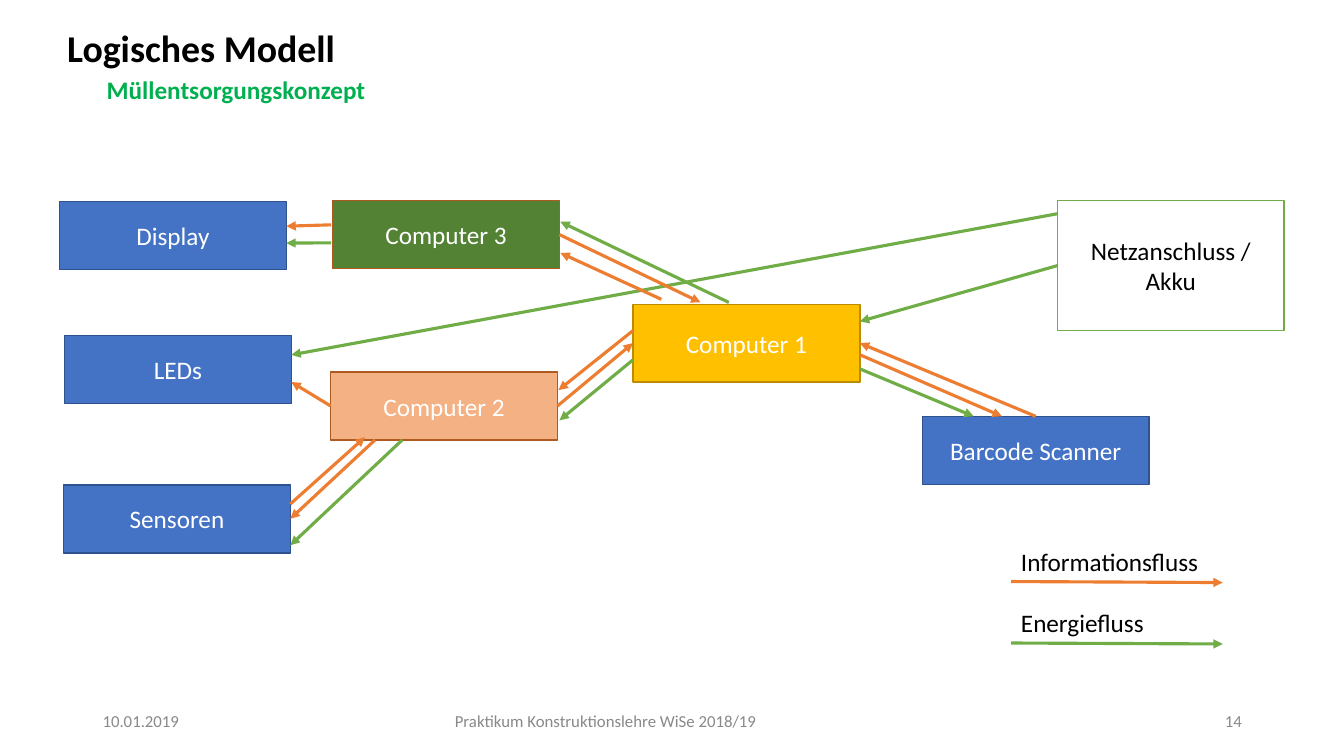
from lxml import etree
from pptx import Presentation
from pptx.dml.color import RGBColor
from pptx.enum.shapes import MSO_CONNECTOR, MSO_SHAPE
from pptx.enum.text import MSO_ANCHOR, PP_ALIGN
from pptx.oxml.ns import qn
from pptx.util import Pt

STRAIGHT = MSO_CONNECTOR.STRAIGHT
RECTANGLE = MSO_SHAPE.RECTANGLE
ANCHOR_TOP, ANCHOR_MIDDLE, ANCHOR_BOTTOM = MSO_ANCHOR.TOP, MSO_ANCHOR.MIDDLE, MSO_ANCHOR.BOTTOM
ALIGN_LEFT, ALIGN_CENTER, ALIGN_RIGHT = PP_ALIGN.LEFT, PP_ALIGN.CENTER, PP_ALIGN.RIGHT
TOP, LEFT, BOTTOM, RIGHT = range(4)  # connection sites of a rectangle

FONT = "Calibri"
BLACK = RGBColor(0x00, 0x00, 0x00)
WHITE = RGBColor(0xFF, 0xFF, 0xFF)
GREY = RGBColor(0x89, 0x89, 0x89)
SUBTITLE_GREEN = RGBColor(0x00, 0xB0, 0x50)
INFORMATION = RGBColor(0xED, 0x7D, 0x31)
ENERGY = RGBColor(0x70, 0xAD, 0x47)
BLUE = RGBColor(0x44, 0x72, 0xC4)
BLUE_EDGE = RGBColor(0x2F, 0x52, 0x8F)
DARK_GREEN = RGBColor(0x54, 0x82, 0x35)
PEACH = RGBColor(0xF4, 0xB1, 0x83)
RUST = RGBColor(0xAE, 0x5A, 0x21)
GOLD = RGBColor(0xFF, 0xC0, 0x00)
GOLD_EDGE = RGBColor(0xBC, 0x8C, 0x00)

NODE_W, NODE_H = 162, 48.6

# Name, left, top, height, fill, edge, text colour
NODES = [
    ("Computer 3", 195.1, 0, NODE_H, DARK_GREEN, RUST, WHITE),
    ("Computer 2", 193.7, 122.4, NODE_H, PEACH, RUST, WHITE),
    ("Computer 1", 409.7, 74.1, 55.4, GOLD, GOLD_EDGE, WHITE),
    ("Barcode Scanner", 616.3, 154.1, NODE_H, BLUE, BLUE_EDGE, WHITE),
    ("Netzanschluss / Akku", 712.8, 0, 92.9, WHITE, ENERGY, BLACK),
    ("LEDs", 3.6, 96.5, NODE_H, BLUE, BLUE_EDGE, WHITE),
    ("Sensoren", 2.9, 203, NODE_H, BLUE, BLUE_EDGE, WHITE),
    ("Display", 0, 0.7, NODE_H, BLUE, BLUE_EDGE, WHITE),
]

# Each end: node, side, distance along the side (none = middle), gap to the side
FLOWS = [
    (ENERGY, ("Netzanschluss / Akku", LEFT, 9.4), ("LEDs", RIGHT, 13.7)),
    (ENERGY, ("Netzanschluss / Akku", LEFT), ("Computer 1", RIGHT, 12.2)),
    (INFORMATION, ("Barcode Scanner", TOP), ("Computer 1", RIGHT)),
    (INFORMATION, ("Computer 1", RIGHT, 36), ("Barcode Scanner", TOP, 56.9)),
    (ENERGY, ("Computer 1", RIGHT, 46.1), ("Barcode Scanner", TOP, 36.7)),
    (INFORMATION, ("Computer 1", LEFT, 18.7), ("Computer 2", RIGHT, 13, 0.7)),
    (INFORMATION, ("Computer 2", RIGHT), ("Computer 1", LEFT)),
    (ENERGY, ("Computer 1", LEFT, 39.6), ("Computer 2", RIGHT, 34.6, 1.4)),
    (ENERGY, ("Computer 2", BOTTOM, 51.1), ("Sensoren", RIGHT, 43.2)),
    (INFORMATION, ("Sensoren", RIGHT, 13.7), ("Computer 2", BOTTOM, 24.5, -2)),
    (INFORMATION, ("Computer 2", BOTTOM, 31.7), ("Sensoren", RIGHT)),
    (INFORMATION, ("Computer 2", LEFT), ("LEDs", RIGHT, 33.1)),
    (INFORMATION, ("Computer 3", LEFT, 17.3, 1), ("Display", RIGHT, 17.6)),
    (ENERGY, ("Computer 3", LEFT, 30.2, 1), ("Display", RIGHT, 29.6)),
    (INFORMATION, ("Computer 1", TOP, 20.2, 3.6), ("Computer 3", RIGHT, 37.4, 0.7)),
    (INFORMATION, ("Computer 3", RIGHT), ("Computer 1", TOP, 48.2, 1.4)),
    (ENERGY, ("Computer 1", TOP, 68.4, 1.4), ("Computer 3", RIGHT, 15.1, 0.7)),
]


def write(sp, text, size, color, align, anchor, bold=False):
    tf = sp.text_frame
    tf.word_wrap = True
    tf.vertical_anchor = anchor
    p = tf.paragraphs[0]
    p.text = text
    p.alignment = align
    p.font.name = FONT
    p.font.size = Pt(size)
    p.font.bold = bold
    p.font.color.rgb = color
    return p


def add_text(slide, box, *style, **options):
    sp = slide.shapes.add_textbox(*map(Pt, box))
    return write(sp, *style, **options)


def add_arrow(slide, start, end, color):
    line = slide.shapes.add_connector(STRAIGHT, *map(Pt, (*start, *end)))
    line.line.color.rgb = color
    line.line.width = Pt(2.25)
    ln = line.line._get_or_add_ln()
    etree.SubElement(ln, qn("a:tailEnd"), type="triangle")
    etree.SubElement(line._element.spPr, qn("a:effectLst"))
    return line


def add_heading(slide, left, top):
    p = add_text(slide, (left, top, 296, 49), "Logisches Modell", 27, BLACK,
                 ALIGN_CENTER, ANCHOR_BOTTOM, bold=True)
    p.line_spacing = 0.9
    add_text(slide, (left + 73.4, top + 44.7, 200.2, 28.8), "Müllentsorgungskonzept", 18,
             SUBTITLE_GREEN, ALIGN_LEFT, ANCHOR_TOP, bold=True)


def add_node(slide, box, name, fill, edge, color):
    sp = slide.shapes.add_shape(RECTANGLE, *map(Pt, box))
    sp.shadow.inherit = False
    sp.fill.solid()
    sp.fill.fore_color.rgb = fill
    sp.line.color.rgb = edge
    sp.line.width = Pt(1)
    write(sp, name, 18, color, ALIGN_CENTER, ANCHOR_MIDDLE)
    return sp


def side_point(sp, side, along=None, gap=0):
    x, y, w, h = (v.pt for v in (sp.left, sp.top, sp.width, sp.height))
    if side in (LEFT, RIGHT):
        dy = h / 2 if along is None else along
        return (x - gap if side == LEFT else x + w + gap), y + dy
    dx = w / 2 if along is None else along
    return x + dx, (y - gap if side == TOP else y + h + gap)


def add_diagram(slide, left, top):
    # Components
    nodes = {}
    for name, x, y, h, fill, edge, color in NODES:
        nodes[name] = add_node(slide, (left + x, top + y, NODE_W, h), name, fill, edge, color)

    # Flows between them
    for color, (source, *start), (target, *end) in FLOWS:
        line = add_arrow(slide, side_point(nodes[source], *start),
                         side_point(nodes[target], *end), color)
        if len(start) == 1:
            line.begin_connect(nodes[source], start[0])
        if len(end) == 1:
            line.end_connect(nodes[target], end[0])


def add_legend(slide, left, top):
    entries = [("Informationsfluss", INFORMATION), ("Energiefluss", ENERGY)]
    for i, (label, color) in enumerate(entries):
        y = top + i * 43.9
        add_text(slide, (left, y, 151.2, 28.8), label, 18, BLACK, ALIGN_LEFT, ANCHOR_TOP)
        add_arrow(slide, (left, y + 28.8), (left + 151.2, y + 29.5), color)


def add_footer(slide, left, top):
    parts = [
        (0, 216, "10.01.2019", ALIGN_LEFT),
        (127.4, 478, "Praktikum Konstruktionslehre WiSe 2018/19", ALIGN_CENTER),
        (612, 216, "14", ALIGN_RIGHT),
    ]
    for x, w, text, align in parts:
        add_text(slide, (left + x, top, w, 28.8), text, 12, GREY, align, ANCHOR_MIDDLE)


def main():
    prs = Presentation()
    prs.slide_width, prs.slide_height = Pt(960), Pt(540)
    slide = prs.slides.add_slide(prs.slide_layouts[6])
    add_legend(slide, 722.2, 386.6)
    add_heading(slide, -4.3, 5)
    add_diagram(slide, 42.5, 143.3)
    add_footer(slide, 66.2, 500.4)
    prs.save("out.pptx")


if __name__ == "__main__":
    main()
